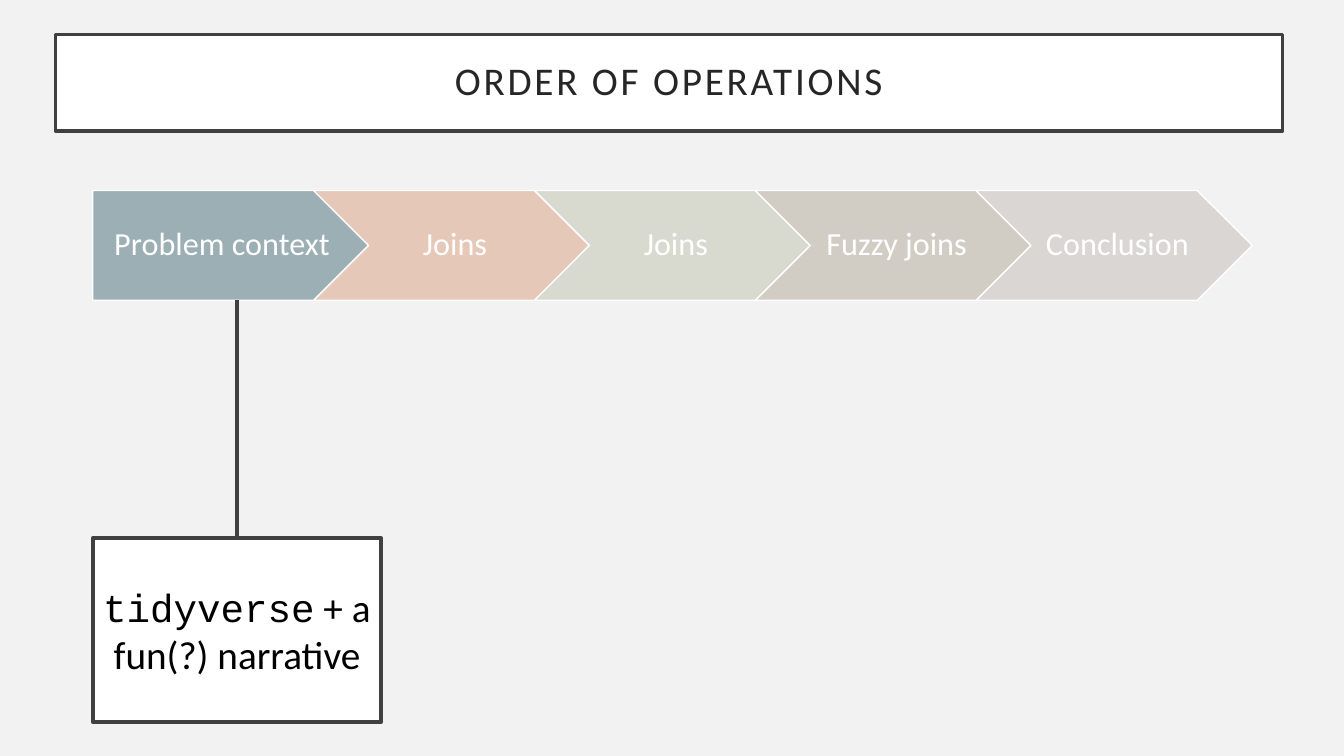
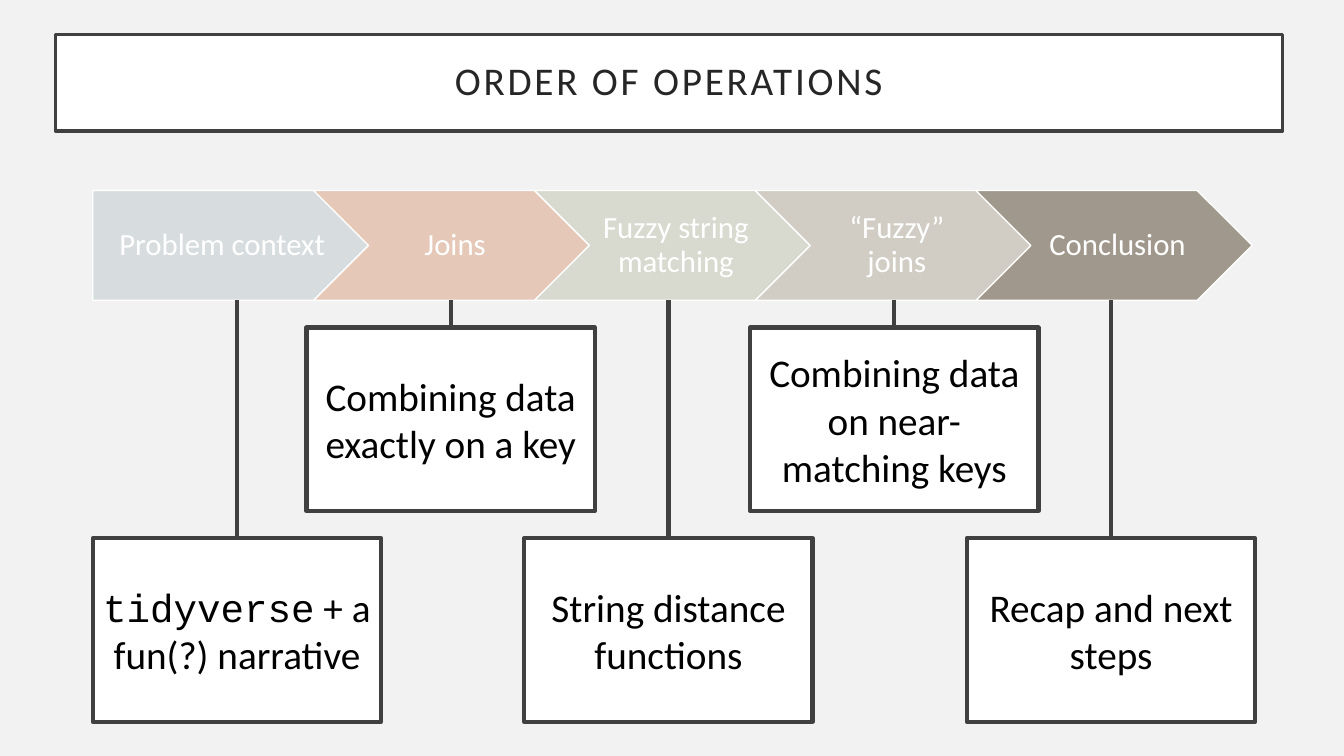
"""Build two timeline slides that outline the order of operations of a talk."""
import lxml.etree
import pptx
import pptx.dml.color
import pptx.enum.shapes
import pptx.enum.text
import pptx.oxml.ns
import pptx.util

RGB = pptx.dml.color.RGBColor
SHAPE = pptx.enum.shapes.MSO_SHAPE
EMU_PER_PX = 9144

BACKDROP = RGB(0xF2, 0xF2, 0xF2)
WHITE = RGB(0xFF, 0xFF, 0xFF)
BLACK = RGB(0x00, 0x00, 0x00)
OUTLINE = RGB(0x40, 0x40, 0x40)
TITLE_INK = RGB(0x26, 0x26, 0x26)
STAGE_COLOURS = [
    RGB(0x9B, 0xAF, 0xB5),
    RGB(0xC9, 0x67, 0x31),
    RGB(0x9C, 0xA3, 0x83),
    RGB(0x87, 0x79, 0x5D),
    RGB(0xA0, 0x98, 0x8C),
]
BODY_FONT, CODE_FONT = "Calibri", "Courier New"
FADED_ALPHA = 30

TITLE = "ORDER OF OPERATIONS"
DETAILS = [
    [("tidyverse", CODE_FONT), (" + a fun(?) narrative", BODY_FONT)],
    [("Combining data exactly on a key", BODY_FONT)],
    [("String distance functions", BODY_FONT)],
    [("Combining data on near-matching keys", BODY_FONT)],
    [("Recap and next steps", BODY_FONT)],
]
SLIDES = [
    {
        "stages": ["Problem context", "Joins", "Joins", "Fuzzy joins", "Conclusion"],
        "current": 0,
        "details_shown": [0],
        "stage_size": 23,
        "stage_margin": 7,
    },
    {
        "stages": ["Problem context", "Joins", "Fuzzy string matching",
                   "“Fuzzy” joins", "Conclusion"],
        "current": 4,
        "details_shown": [0, 1, 2, 3, 4],
        "stage_size": 22,
        "stage_margin": 6,
    },
]

SLIDE_W, SLIDE_H = 1333, 750
TITLE_BOX = (55, 34, 1217, 96)
STAGE_LEFT, STAGE_TOP, STAGE_W, STAGE_H, STAGE_PITCH = 92, 189, 274, 109, 219
STAGE_BOTTOM = STAGE_TOP + STAGE_H
DETAIL_LEFTS = [92, 304, 520, 744, 959]
DETAIL_TOPS = [534, 325]
DETAIL_W, DETAIL_H = 286, 182


def px(length):
    return pptx.util.Emu(round(length * EMU_PER_PX))


def add_panel(slide, preset, box, fill, line, line_pt):
    panel = slide.shapes.add_shape(preset, *map(px, box))
    panel.shadow.inherit = False
    panel.fill.solid()
    panel.fill.fore_color.rgb = fill
    panel.line.color.rgb = line
    panel.line.width = pptx.util.Pt(line_pt)
    return panel


def write(panel, pieces, size, colour, margins=(10, 5, 10, 5), line_spacing=None):
    frame = panel.text_frame
    frame.word_wrap = True
    frame.vertical_anchor = pptx.enum.text.MSO_ANCHOR.MIDDLE
    (frame.margin_left, frame.margin_top,
     frame.margin_right, frame.margin_bottom) = map(px, margins)
    paragraph = frame.paragraphs[0]
    paragraph.alignment = pptx.enum.text.PP_ALIGN.CENTER
    paragraph.line_spacing = line_spacing
    for words, font in pieces:
        run = paragraph.add_run()
        run.text = words
        run.font.name = font
        run.font.size = pptx.util.Pt(size)
        run.font.color.rgb = colour
    return paragraph


def fade(panel):
    colour = panel._element.spPr.find(".//" + pptx.oxml.ns.qn("a:srgbClr"))
    alpha = lxml.etree.SubElement(colour, pptx.oxml.ns.qn("a:alpha"))
    alpha.set("val", str(FADED_ALPHA * 1000))


def add_title(slide):
    banner = add_panel(slide, SHAPE.RECTANGLE, TITLE_BOX, WHITE, OUTLINE, 2.5)
    heading = write(banner, [(TITLE, BODY_FONT)], 28, TITLE_INK, (20,) * 4, 0.9)
    heading.runs[0]._r.get_or_add_rPr().set("spc", "200")


def add_stages(slide, content):
    margin = content["stage_margin"]
    for i, (label, colour) in enumerate(zip(content["stages"], STAGE_COLOURS)):
        preset, left_margin = (SHAPE.CHEVRON, 10) if i else (SHAPE.PENTAGON, 13)
        box = (STAGE_LEFT + i * STAGE_PITCH, STAGE_TOP, STAGE_W, STAGE_H)
        stage = add_panel(slide, preset, box, colour, WHITE, 1)
        if i != content["current"]:
            fade(stage)
        write(stage, [(label, BODY_FONT)], content["stage_size"], WHITE,
              (left_margin, margin, 3, margin), 0.9)


def add_detail(slide, i):
    left, top = DETAIL_LEFTS[i], DETAIL_TOPS[i % 2]
    detail = add_panel(slide, SHAPE.RECTANGLE, (left, top, DETAIL_W, DETAIL_H),
                       WHITE, OUTLINE, 3)
    write(detail, DETAILS[i], 28, BLACK)
    middle = px(left + DETAIL_W / 2)
    stem = slide.shapes.add_connector(
        pptx.enum.shapes.MSO_CONNECTOR.STRAIGHT,
        middle, px(top), middle, px(STAGE_BOTTOM))
    stem.begin_connect(detail, 0)
    stem.line.color.rgb = OUTLINE
    stem.line.width = pptx.util.Pt(3)
    lxml.etree.SubElement(stem._element.spPr, pptx.oxml.ns.qn("a:effectLst"))


def main():
    deck = pptx.Presentation()
    deck.slide_width, deck.slide_height = px(SLIDE_W), px(SLIDE_H)
    for content in SLIDES:
        slide = deck.slides.add_slide(deck.slide_layouts[6])
        slide.background.fill.solid()
        slide.background.fill.fore_color.rgb = BACKDROP
        add_title(slide)
        add_stages(slide, content)
        for i in content["details_shown"]:
            add_detail(slide, i)
    deck.save("out.pptx")


if __name__ == "__main__":
    main()
